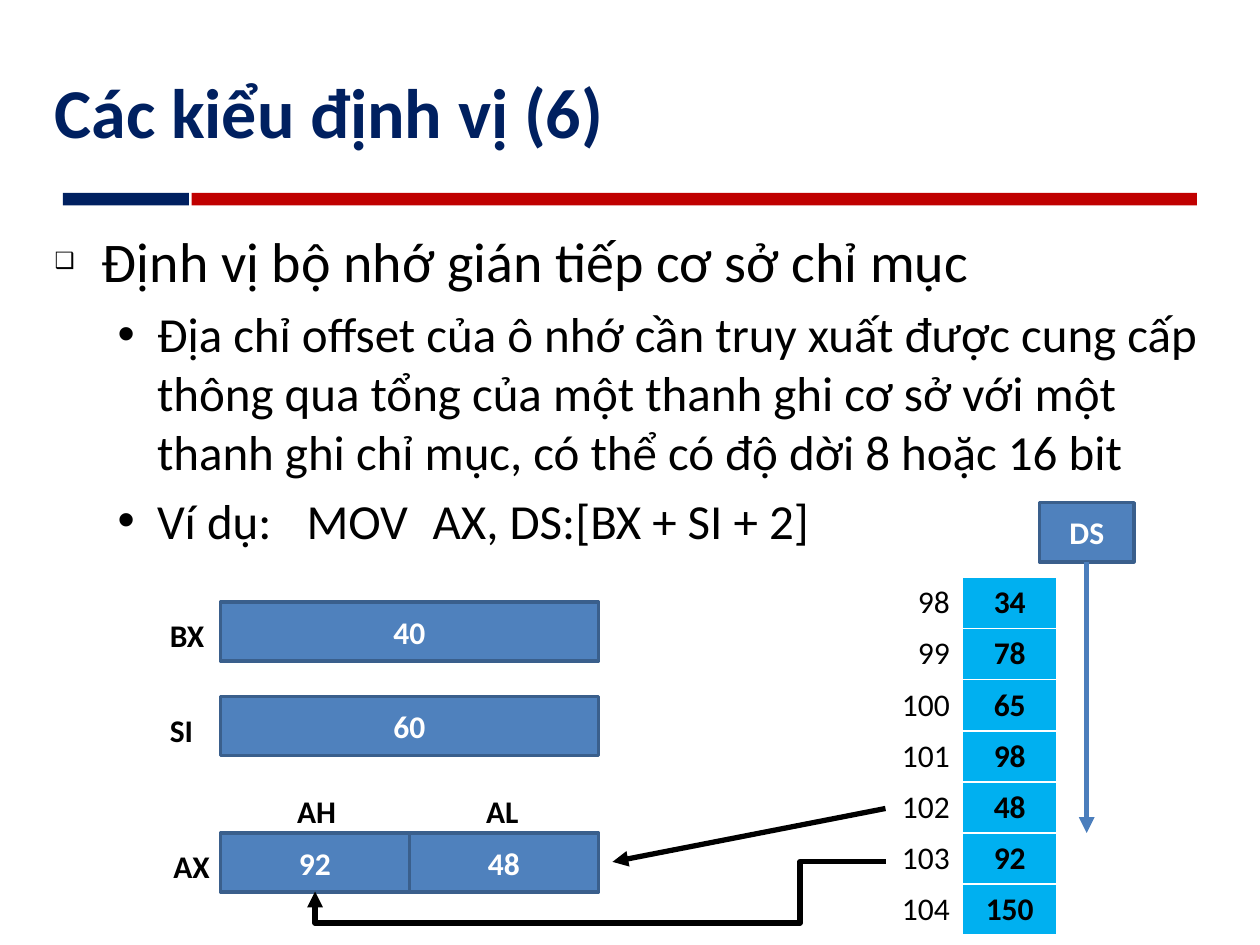
"""Build the slide on based indexed memory addressing."""
from lxml.etree import SubElement
from pptx import Presentation
from pptx.dml.color import RGBColor
from pptx.enum.shapes import MSO_CONNECTOR as Connector, MSO_SHAPE as Shape
from pptx.enum.text import MSO_ANCHOR as Anchor, MSO_AUTO_SIZE as AutoSize, PP_ALIGN as Align
from pptx.oxml.ns import qn
from pptx.util import Pt

NAVY = RGBColor(0x00, 0x20, 0x60)
RED = RGBColor(0xC0, 0x00, 0x00)
BLUE = RGBColor(0x4F, 0x81, 0xBD)
EDGE = RGBColor(0x3A, 0x5F, 0x8C)
ARROW = RGBColor(0x4B, 0x7E, 0xBC)
CYAN = RGBColor(0x00, 0xB0, 0xF0)
BLACK = RGBColor(0x00, 0x00, 0x00)
WHITE = RGBColor(0xFF, 0xFF, 0xFF)

BOX_LEFT, BOX_HEIGHT, HALF = 126, 33.75, 108
AX_TOP = 476
MEMORY = [(98, 34), (99, 78), (100, 65), (101, 98), (102, 48), (103, 92), (104, 150)]
BULLETS = [
    (0, "❑", "Định vị bộ nhớ gián tiếp cơ sở chỉ mục"),
    (1, "•", "Địa chỉ offset của ô nhớ cần truy xuất được cung cấp thông qua tổng của "
             "một thanh ghi cơ sở với một thanh ghi chỉ mục, có thể có độ dời 8 hoặc 16 bit"),
    (1, "•", "Ví dụ:\tMOV\tAX, DS:[BX + SI + 2]"),
]


class SlideBuilder:
    """Hold the text style and the current slide."""

    font_name = "Calibri"
    label_size = 18

    def __init__(self, page):
        self.page = page

    def style(self, para, size, color, bold=False, align=Align.LEFT):
        para.alignment = align
        font = para.font
        font.name, font.size, font.bold = self.font_name, Pt(size), bold
        font.color.rgb = color

    def place(self, item, left, top, width, height):
        item.left, item.top, item.width, item.height = map(Pt, (left, top, width, height))

    def title(self, text, *area):
        holder = self.page.shapes.title
        self.place(holder, *area)
        frame = holder.text_frame
        frame.text = text
        frame.auto_size = AutoSize.NONE
        frame.vertical_anchor = Anchor.MIDDLE
        self.style(frame.paragraphs[0], 40, NAVY, True)

    def bullets(self, entries, *area):
        holder = self.page.placeholders[1]
        self.place(holder, *area)
        frame = holder.text_frame
        frame.text = "\n".join(text for _, _, text in entries)
        frame.auto_size = AutoSize.NONE
        for para, (level, mark, _) in zip(frame.paragraphs, entries):
            para.level = level
            margin, hanging, size = ((27, 27, 32), (58.5, 22.5, 28))[level]
            props = para._p.get_or_add_pPr()
            props.set("marL", str(Pt(margin)))
            props.set("indent", str(-Pt(hanging)))
            if level == 0:
                SubElement(props, qn("a:buSzPct"), val="40000")
            SubElement(props, qn("a:buChar"), char=mark)
            self.style(para, size, BLACK)

    def bar(self, color, *area):
        box = self.page.shapes.add_shape(Shape.RECTANGLE, *map(Pt, area))
        box.shadow.inherit = False
        box.fill.solid()
        box.fill.fore_color.rgb = color
        box.line.fill.background()
        return box

    def register(self, text, left, top, width):
        box = self.bar(BLUE, left, top, width, BOX_HEIGHT)
        box.line.color.rgb = EDGE
        box.line.width = Pt(2)
        box.text_frame.text = text
        box.text_frame.vertical_anchor = Anchor.MIDDLE
        self.style(box.text_frame.paragraphs[0], self.label_size, WHITE, True, Align.CENTER)
        return box

    def label(self, text, left, top, width):
        box = self.page.shapes.add_textbox(*map(Pt, (left, top, width, 29)))
        frame = box.text_frame
        frame.text = text
        frame.word_wrap = False
        frame.auto_size = AutoSize.SHAPE_TO_FIT_TEXT
        self.style(frame.paragraphs[0], self.label_size, BLACK, True)

    def arrow(self, color, *ends, kind=Connector.STRAIGHT, tip="tailEnd"):
        link = self.page.shapes.add_connector(kind, *map(Pt, ends))
        link.line.color.rgb = color
        link.line.width = Pt(3)
        SubElement(link.line._get_or_add_ln(), qn(f"a:{tip}"), type="triangle")
        SubElement(link._element.spPr, qn("a:effectLst"))
        return link

    def bent_arrow(self, color, left, top, right, bottom, bends):
        link = self.arrow(color, right, bottom, left, top, kind=Connector.ELBOW, tip="headEnd")
        props = link._element.spPr
        props.find(qn("a:xfrm")).set("rot", str(90 * 60000))
        geometry = props.find(qn("a:prstGeom"))
        geometry.set("prst", "bentConnector4")
        guides = geometry.find(qn("a:avLst"))
        for number, bend in enumerate(bends, 1):
            SubElement(guides, qn("a:gd"), name=f"adj{number}", fmla=f"val {round(bend * 100000)}")

    def memory(self, rows, left, top, widths, row_height):
        area = map(Pt, (left, top, sum(widths), row_height * len(rows)))
        table = self.page.shapes.add_table(len(rows), len(widths), *area).table
        table.first_row = table.horz_banding = False
        for column, width in zip(table.columns, widths):
            column.width = Pt(width)
        for row, values in zip(table.rows, rows):
            row.height = Pt(row_height)
            address, content = row.cells
            self.cell(address, values[0], False, Align.RIGHT)
            address.fill.background()
            self.cell(content, values[1], True, Align.CENTER)
            content.fill.solid()
            content.fill.fore_color.rgb = CYAN

    def cell(self, cell, value, bold, align):
        cell.text = str(value)
        cell.vertical_anchor = Anchor.MIDDLE
        self.style(cell.text_frame.paragraphs[0], self.label_size, BLACK, bold, align)
        props = cell._tc.get_or_add_tcPr()
        for side in ("lnL", "lnR", "lnT", "lnB"):
            border = SubElement(props, qn(f"a:{side}"), w=str(Pt(1)))
            fill = SubElement(border, qn("a:solidFill"))
            SubElement(fill, qn("a:srgbClr"), val=str(WHITE))


def main():
    deck = Presentation()
    deck.slide_width, deck.slide_height = Pt(720), Pt(540)
    slide = SlideBuilder(deck.slides.add_slide(deck.slide_layouts[1]))

    slide.bar(NAVY, 36, 110.25, 72, 7.2)
    slide.bar(RED, 109.5, 110.25, 574.5, 7.2)
    slide.title("Các kiểu định vị (6)", 24, 12, 672, 102)
    slide.bullets(BULLETS, 24, 126, 672, 403)
    slide.memory(MEMORY, 504, 330, (46, 54), 29.2)

    for name, value, top in (("BX", "40", 344), ("SI", "60", 398)):
        slide.register(value, BOX_LEFT, top, 2 * HALF)
        slide.label(name, 90, top + 4.5, 34 if name == "BX" else 28)
    slide.label("AX", 92, AX_TOP + 4.5, 35)
    for column, (name, value, width) in enumerate((("AH", "92", 37), ("AL", "48", 33))):
        left = BOX_LEFT + column * HALF
        slide.register(value, left, AX_TOP, HALF)
        slide.label(name, left + 36.75, AX_TOP - 27, width)

    segment = slide.register("DS", 594, 287.25, 54)
    slide.arrow(ARROW, 621, 321, 621, AX_TOP).begin_connect(segment, 2)
    slide.arrow(BLACK, 506, 462, 350, 492.5)
    slide.bent_arrow(BLACK, 334.5, 338, 351.5, 664, (-1.06, 0.85))
    deck.save("out.pptx")


if __name__ == "__main__":
    main()
